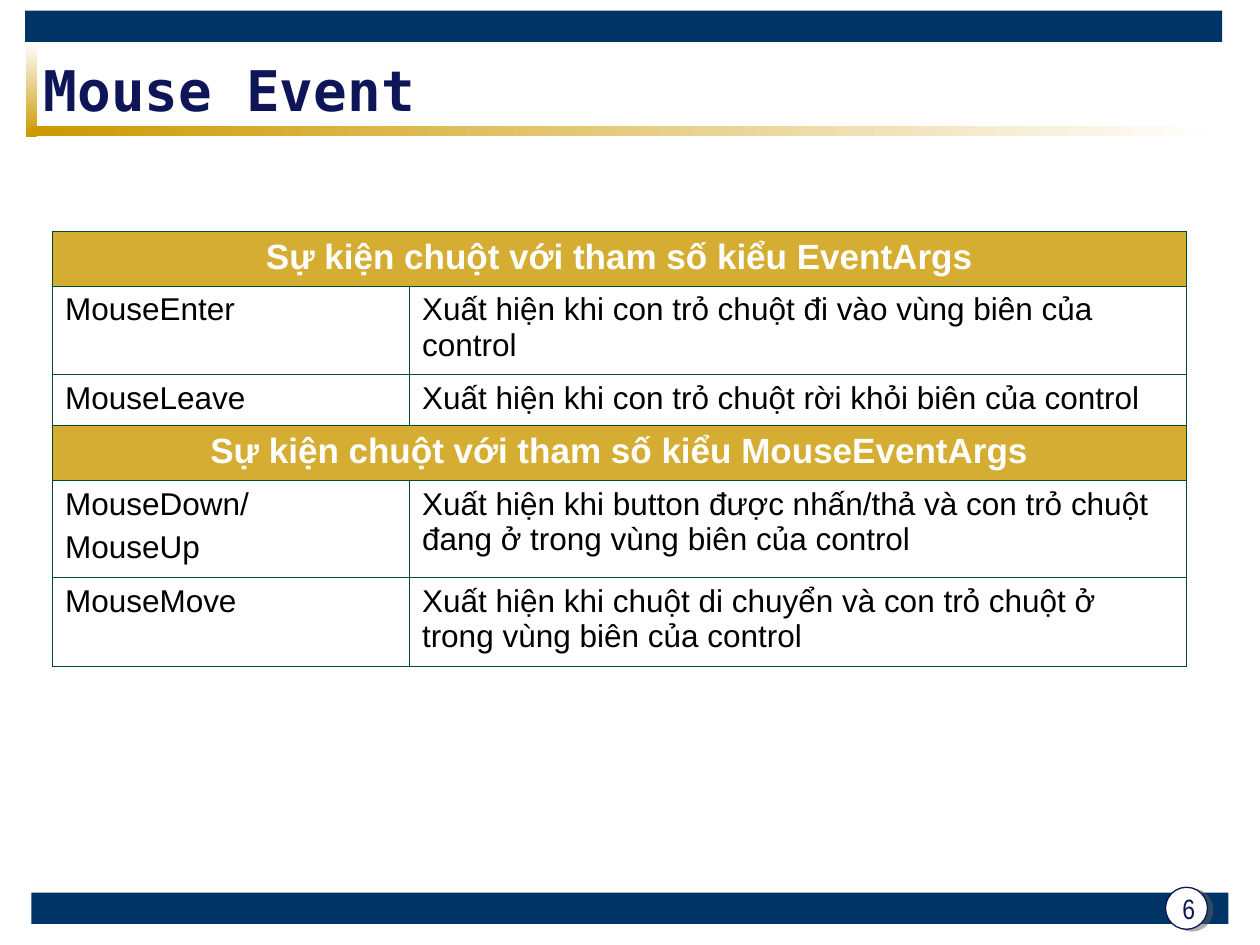
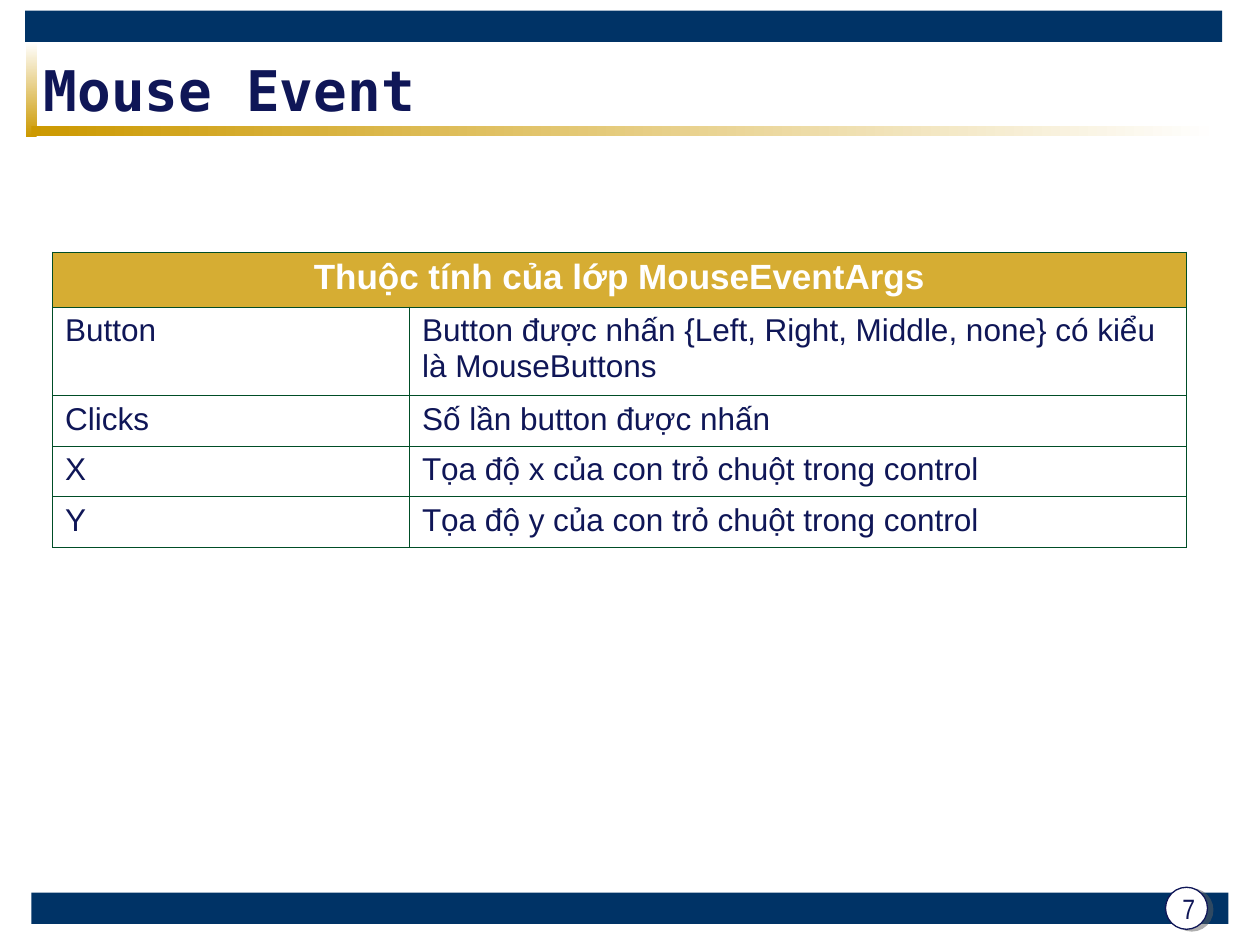
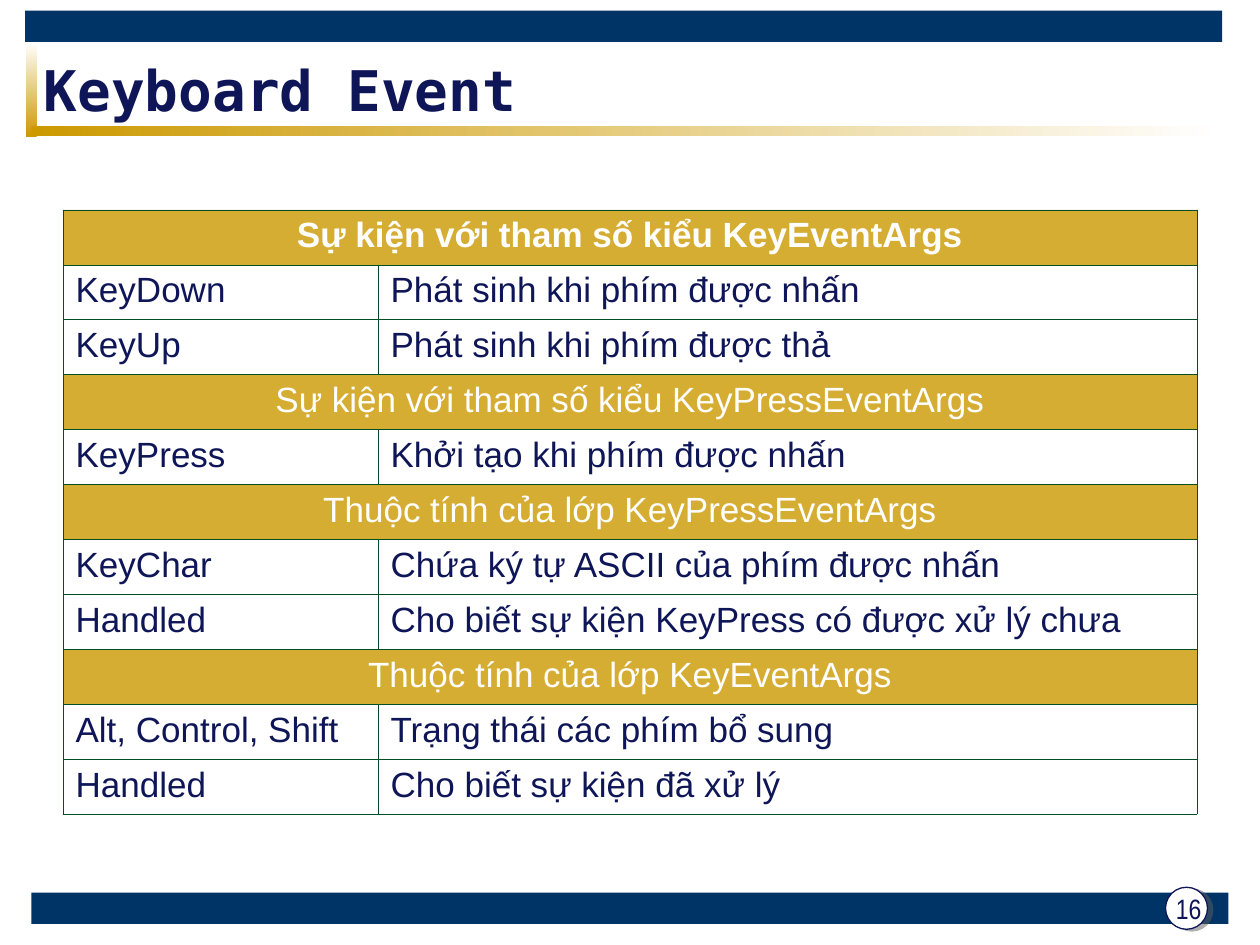
from lxml import etree
from pptx import Presentation, util as u
from pptx.dml import color
from pptx.enum import shapes, text
from pptx.oxml import ns

COLORS = {
    "white": "FFFFFF",
    "black": "000000",
    "navy": "0F1657",
    "band": "003366",
    "gold": "CC9900",
    "border": "004D26",
    "shadow": "5F5F5F",
}
HEADER_HEIGHT = 31.4
TWO_LINE_HEIGHT = 50.3


def rgb(name):
    return color.RGBColor.from_string(COLORS[name])


def add_element(parent, tag, **attributes):
    values = {key: str(value) for key, value in attributes.items()}
    return etree.SubElement(parent, ns.qn(tag), values)


def write(frame, content, size, font="Arial", fill="navy", bold=False,
          align=text.PP_ALIGN.LEFT, gap=0):
    for index, line in enumerate(content.split("\n")):
        paragraph = frame.add_paragraph() if index else frame.paragraphs[0]
        paragraph.text = line
        paragraph.alignment = align
        if index and gap:
            paragraph.space_before = u.Pt(gap)
        paragraph.font.name = font
        paragraph.font.size = u.Pt(size)
        paragraph.font.bold = bold
        paragraph.font.color.rgb = rgb(fill)


class Deck:
    def __init__(self):
        self.presentation = Presentation()
        self.presentation.slide_width = u.Pt(720)
        self.presentation.slide_height = u.Pt(540)
        self.slide = None

    def add_slide(self, title, number):
        self.slide = self.presentation.slides.add_slide(self.presentation.slide_layouts[6])
        self.band(18, 510)
        self.band(14.4, 6)
        self.gradient(15, 24, 6, 54, ("white", "gold"), 270)
        self.gradient(18, 72, 678, 6, ("gold", "white"), 0)
        self.badge(666, 507, 24)
        self.textbox(662, 500, 34.5, 37.5, str(number), size=16,
                     font="Arial Narrow", align=text.PP_ALIGN.CENTER)
        self.textbox(18, 30, 648, 42, title, size=32, font="DejaVu Sans Mono", bold=True)

    def shape(self, kind, left, top, width, height):
        shape = self.slide.shapes.add_shape(
            kind, u.Pt(left), u.Pt(top), u.Pt(width), u.Pt(height))
        shape.shadow.inherit = False
        shape.line.fill.background()
        return shape

    def band(self, left, top):
        shape = self.shape(shapes.MSO_SHAPE.RECTANGLE, left, top, 684, 18)
        shape.fill.solid()
        shape.fill.fore_color.rgb = rgb("band")

    def gradient(self, left, top, width, height, names, angle):
        shape = self.shape(shapes.MSO_SHAPE.RECTANGLE, left, top, width, height)
        shape.fill.gradient()
        shape.fill.gradient_angle = angle
        for position, (stop, name) in enumerate(zip(shape.fill.gradient_stops, names)):
            stop.color.rgb = rgb(name)
            stop.position = position

    def badge(self, left, top, size):
        shape = self.shape(shapes.MSO_SHAPE.OVAL, left, top, size, size)
        shape.fill.solid()
        shape.fill.fore_color.rgb = rgb("white")
        shape.line.color.rgb = rgb("navy")
        shape.line.width = u.Pt(0.75)
        effects = shape.element.spPr.find(ns.qn("a:effectLst"))
        shadow = add_element(effects, "a:outerShdw", blurRad=0, dist=u.Pt(3.2),
                             dir=18 * 60000, algn="ctr", rotWithShape=0)
        tint = add_element(shadow, "a:srgbClr", val=COLORS["shadow"])
        add_element(tint, "a:alpha", val=50000)

    def textbox(self, left, top, width, height, content, **style):
        shape = self.slide.shapes.add_textbox(
            u.Pt(left), u.Pt(top), u.Pt(width), u.Pt(height))
        frame = shape.text_frame
        frame.word_wrap = True
        frame.vertical_anchor = text.MSO_ANCHOR.MIDDLE
        write(frame, content, **style)

    def paint_cell(self, cell, fill, opacity=100):
        properties = cell._tc.get_or_add_tcPr()
        if fill:
            cell.fill.solid()
            cell.fill.fore_color.rgb = rgb(fill)
            if opacity < 100:
                add_element(properties.find(".//" + ns.qn("a:srgbClr")),
                            "a:alpha", val=opacity * 1000)
        else:
            cell.fill.background()
        for index, side in enumerate("LRTB"):
            line = add_element(properties, "a:ln" + side, w=u.Pt(0.45))
            solid = add_element(line, "a:solidFill")
            add_element(solid, "a:srgbClr", val=COLORS["border"])
            properties.insert(index, line)

    def table(self, left, top, widths, rows, size=18, text_color="navy",
              fill=None, bold_headers=1):
        frame = self.slide.shapes.add_table(
            len(rows), len(widths), u.Pt(left), u.Pt(top),
            u.Pt(sum(widths)), u.Pt(sum(height for height, *_ in rows)))
        table = frame.table
        table.first_row = table.horz_banding = False
        for column, width in zip(table.columns, widths):
            column.width = u.Pt(width)
        headers = 0
        for index, (height, *labels) in enumerate(rows):
            table.rows[index].height = u.Pt(height)
            cells = list(table.rows[index].cells)
            is_header = len(labels) == 1
            for cell in cells:
                if is_header:
                    self.paint_cell(cell, "gold", 80)
                else:
                    self.paint_cell(cell, fill)
            if is_header:
                headers += 1
                cells[0].merge(cells[-1])
                write(cells[0].text_frame, labels[0], size=20, fill="white",
                      bold=headers <= bold_headers, align=text.PP_ALIGN.CENTER)
            else:
                for cell, label in zip(cells, labels):
                    write(cell.text_frame, label, size=size, fill=text_color, gap=4.5)


def main():
    deck = Deck()

    deck.add_slide("Mouse Event", 6)
    deck.table(30, 132, (204, 444), [
        (HEADER_HEIGHT, "Sự kiện chuột với tham số kiểu EventArgs"),
        (TWO_LINE_HEIGHT, "MouseEnter", "Xuất hiện khi con trỏ chuột đi vào vùng biên của control"),
        (29.5, "MouseLeave", "Xuất hiện khi con trỏ chuột rời khỏi biên của control"),
        (HEADER_HEIGHT, "Sự kiện chuột với tham số kiểu MouseEventArgs"),
        (55.4, "MouseDown/\nMouseUp",
         "Xuất hiện khi button được nhấn/thả và con trỏ chuột đang ở trong vùng biên của control"),
        (TWO_LINE_HEIGHT, "MouseMove",
         "Xuất hiện khi chuột di chuyển và con trỏ chuột ở trong vùng biên của control"),
    ], text_color="black", fill="white", bold_headers=2)

    deck.add_slide("Mouse Event", 7)
    deck.table(30, 144, (204, 444), [
        (HEADER_HEIGHT, "Thuộc tính của lớp MouseEventArgs"),
        (TWO_LINE_HEIGHT, "Button",
         "Button được nhấn {Left, Right, Middle, none} có kiểu là MouseButtons"),
        (29, "Clicks", "Số lần button được nhấn"),
        (29, "X", "Tọa độ x của con trỏ chuột trong control"),
        (29, "Y", "Tọa độ y của con trỏ chuột trong control"),
    ])

    deck.add_slide("Keyboard Event", 16)
    keyboard_rows = [
        ("Sự kiện với tham số kiểu KeyEventArgs",),
        ("KeyDown", "Phát sinh khi phím được nhấn"),
        ("KeyUp", "Phát sinh khi phím được thả"),
        ("Sự kiện với tham số kiểu KeyPressEventArgs",),
        ("KeyPress", "Khởi tạo khi phím được nhấn"),
        ("Thuộc tính của lớp KeyPressEventArgs",),
        ("KeyChar", "Chứa ký tự ASCII của phím được nhấn"),
        ("Handled", "Cho biết sự kiện KeyPress có được xử lý chưa"),
        ("Thuộc tính của lớp KeyEventArgs",),
        ("Alt, Control, Shift", "Trạng thái các phím bổ sung"),
        ("Handled", "Cho biết sự kiện đã xử lý"),
    ]
    deck.table(36, 120, (180, 468),
               [(HEADER_HEIGHT, *labels) for labels in keyboard_rows], size=20)

    deck.presentation.save("out.pptx")


if __name__ == "__main__":
    main()
